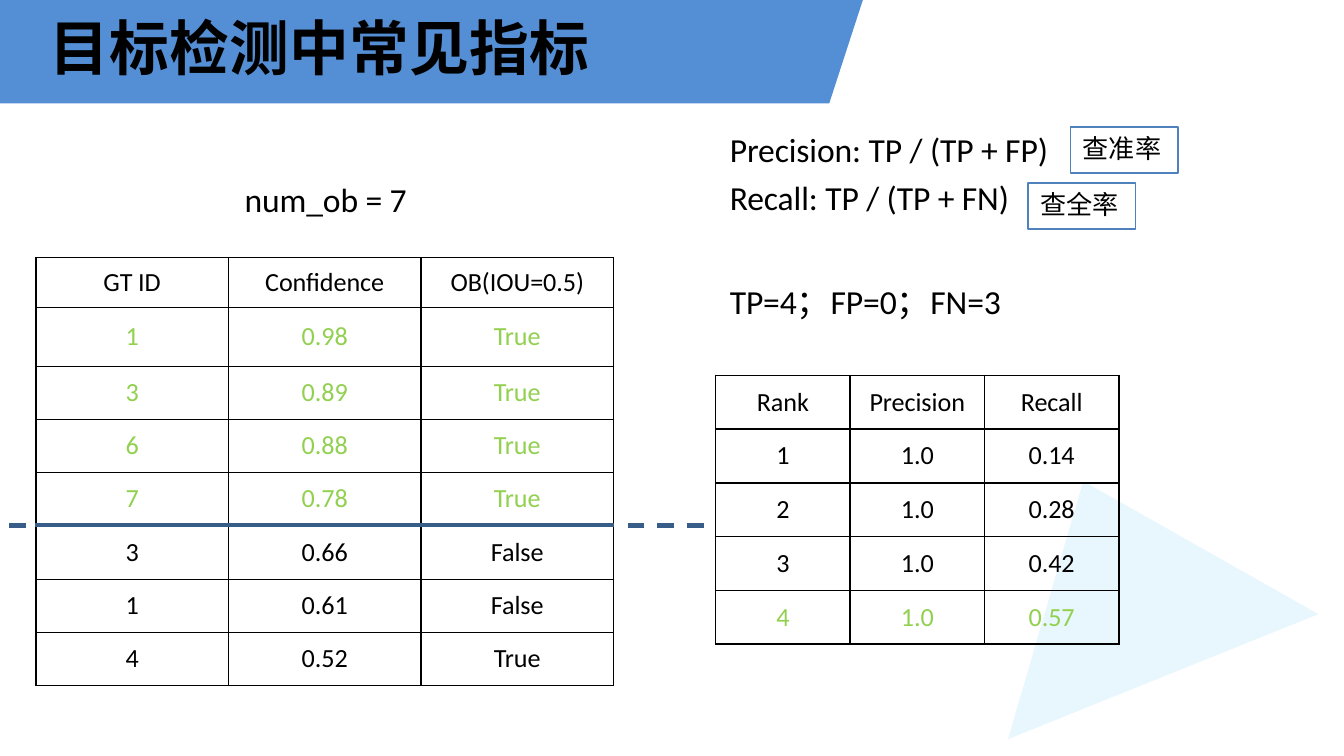
from lxml import etree
from pptx import Presentation
from pptx import util as u
from pptx.dml.color import RGBColor
from pptx.enum import shapes, text
from pptx.oxml import ns

COLORS = {
    "banner": "548ED4",
    "ink": "000000",
    "hit": "92D050",
    "cutoff": "385D89",
    "tag": "4F81BC",
    "accent": "00AFEF",
}
COLUMNS, ROWS = 100, 56.25
CELL = u.Inches(0.1)
LATIN, CHINESE, HEADING = "Calibri", "Noto Sans CJK SC", "Noto Sans CJK TC"


def grid(*lengths):
    return [round(length * CELL) for length in lengths]


def color(name):
    return RGBColor.from_string(COLORS[name])


def add_xml(parent, tag, **attributes):
    return etree.SubElement(parent, ns.qn(tag), attributes)


class MetricsSlide:
    def __init__(self, deck):
        self.slide = deck.slides.add_slide(deck.slide_layouts[5])
        self.items = self.slide.shapes

    def format(self, frame, size, ink="ink", latin=LATIN, chinese=CHINESE, bold=False,
               align=text.PP_ALIGN.LEFT, spacing=-5):
        for paragraph in frame.paragraphs:
            paragraph.alignment = align
            for run in paragraph.runs:
                font = run.font
                font.size, font.bold, font.name = u.Pt(size), bold, latin
                font.color.rgb = color(ink)
                properties = run._r.get_or_add_rPr()
                properties.set("spc", str(spacing))
                add_xml(properties, "a:ea", typeface=chinese)

    def inset(self, frame, left=0.1, top=0.1, bottom=0):
        frame.margin_left, frame.margin_top, frame.margin_bottom = grid(left, top, bottom)
        frame.margin_right = 0

    def title(self, words, *place):
        title = self.items.title
        title.left, title.top, title.width, title.height = grid(*place)
        frame = title.text_frame
        frame.text = words
        frame.auto_size = text.MSO_AUTO_SIZE.NONE
        frame.vertical_anchor = text.MSO_ANCHOR.MIDDLE
        self.inset(frame, top=0)
        self.format(frame, 32, latin=HEADING, chinese=HEADING, bold=True, spacing=15)

    def polygon(self, points, fill, alpha=100, behind=False):
        builder = self.items.build_freeform(*grid(*points[0]))
        builder.add_line_segments([grid(*point) for point in points[1:]])
        shape = builder.convert_to_shape()
        shape.shadow.inherit = False
        shape.fill.solid()
        shape.fill.fore_color.rgb = color(fill)
        shape.line.fill.background()
        if alpha < 100:
            fill_color = shape._element.spPr.find(".//" + ns.qn("a:srgbClr"))
            add_xml(fill_color, "a:alpha", val=str(alpha * 1000))
        if behind:
            self.items._spTree.insert(2, shape._element)

    def label(self, words, *place, wrap=False):
        frame = self.items.add_textbox(*grid(*place)).text_frame
        frame.text = words
        frame.word_wrap = wrap
        self.inset(frame)
        self.format(frame, 18)

    def tag(self, words, left, top):
        box = self.items.add_shape(shapes.MSO_SHAPE.RECTANGLE, *grid(left, top, 8, 3.4))
        box.shadow.inherit = False
        box.fill.background()
        box.line.color.rgb = color("tag")
        box.line.width = u.Pt(1)
        frame = box.text_frame
        frame.text = words
        frame.word_wrap = False
        frame.vertical_anchor = text.MSO_ANCHOR.MIDDLE
        self.inset(frame, 0.9, 0, 0.3)
        self.format(frame, 14, latin=CHINESE, spacing=5)

    def dash(self, left, level, length):
        line = self.items.add_connector(
            shapes.MSO_CONNECTOR.STRAIGHT, *grid(left, level, left + length, level))
        line.line.color.rgb = color("cutoff")
        line.line.width = u.Pt(2.25)
        add_xml(line._element.spPr, "a:effectLst")

    def border(self, cell, side, name, width):
        line = add_xml(cell._tc.get_or_add_tcPr(), f"a:ln{side}", w=str(u.Pt(width)))
        add_xml(add_xml(line, "a:solidFill"), "a:srgbClr", val=COLORS[name])

    def table(self, records, left, top, column, heights, hits, cutoff=None):
        size = grid(column * len(records[0]), sum(heights))
        table = self.items.add_table(
            len(records), len(records[0]), *grid(left, top), *size).table
        table.first_row = table.horz_banding = False
        for table_column in table.columns:
            table_column.width = grid(column)[0]
        for r, record in enumerate(records):
            table.rows[r].height = grid(heights[r])[0]
            for c, words in enumerate(record):
                cell = table.cell(r, c)
                edges = {"T": r - 1, "B": r}
                for side in "LRTB":
                    marked = cutoff is not None and edges.get(side) == cutoff
                    self.border(cell, side, *(("cutoff", 2.25) if marked else ("ink", 1)))
                cell.fill.background()
                cell.vertical_anchor = text.MSO_ANCHOR.MIDDLE
                self.inset(cell, 0, 0)
                cell.text_frame.text = words
                self.format(cell.text_frame, 14, "hit" if r in hits else "ink",
                            align=text.PP_ALIGN.CENTER)


def main():
    deck = Presentation()
    deck.slide_width, deck.slide_height = grid(COLUMNS, ROWS)
    page = MetricsSlide(deck)

    page.polygon([(0, 0), (64.2, 0), (61.7, 7.7), (0, 7.7)], "banner", behind=True)
    page.title("目标检测中常见指标", 3.6, 0.65, 40.5, 5.6)
    page.polygon([(75, 55), (80.6, 35.8), (98.1, 45.7)], "accent", alpha=9)

    detections = [
        ("GT ID", "Confidence", "OB(IOU=0.5)"),
        ("1", "0.98", "True"),
        ("3", "0.89", "True"),
        ("6", "0.88", "True"),
        ("7", "0.78", "True"),
        ("3", "0.66", "False"),
        ("1", "0.61", "False"),
        ("4", "0.52", "True"),
    ]
    page.table(detections, 2.67, 19.17, 14.33, [3.7, 4.4, 3.95, 3.95, 3.9, 4.05, 3.95, 3.95],
               hits=range(1, 5), cutoff=4)

    page.label("Precision: TP / (TP + FP)", 54.2, 9.5, 24.1, 3.3)
    page.label("Recall: TP / (TP + FN)", 54.2, 13.1, 21.2, 3.3)
    page.tag("查准率", 79.65, 9.45)
    page.tag("查全率", 76.5, 13.65)

    recalls = ["0.14", "0.28", "0.42", "0.57"]
    ranking = [("Rank", "Precision", "Recall")]
    ranking += [(str(rank), "1.0", recall) for rank, recall in enumerate(recalls, 1)]
    page.table(ranking, 53.25, 27.93, 10, [4] * len(ranking), hits=[4])

    page.label("num_ob = 7", 18.1, 13.2, 12.4, 3.3)
    for left in [0.7] + [46.7 + 2.2 * step for step in range(3)]:
        page.dash(left, 39.1, 1.25)
    page.label("TP=4；FP=0；FN=3", 54.2, 20.8, 20.5, 6.3, wrap=True)

    deck.save("out.pptx")


if __name__ == "__main__":
    main()
